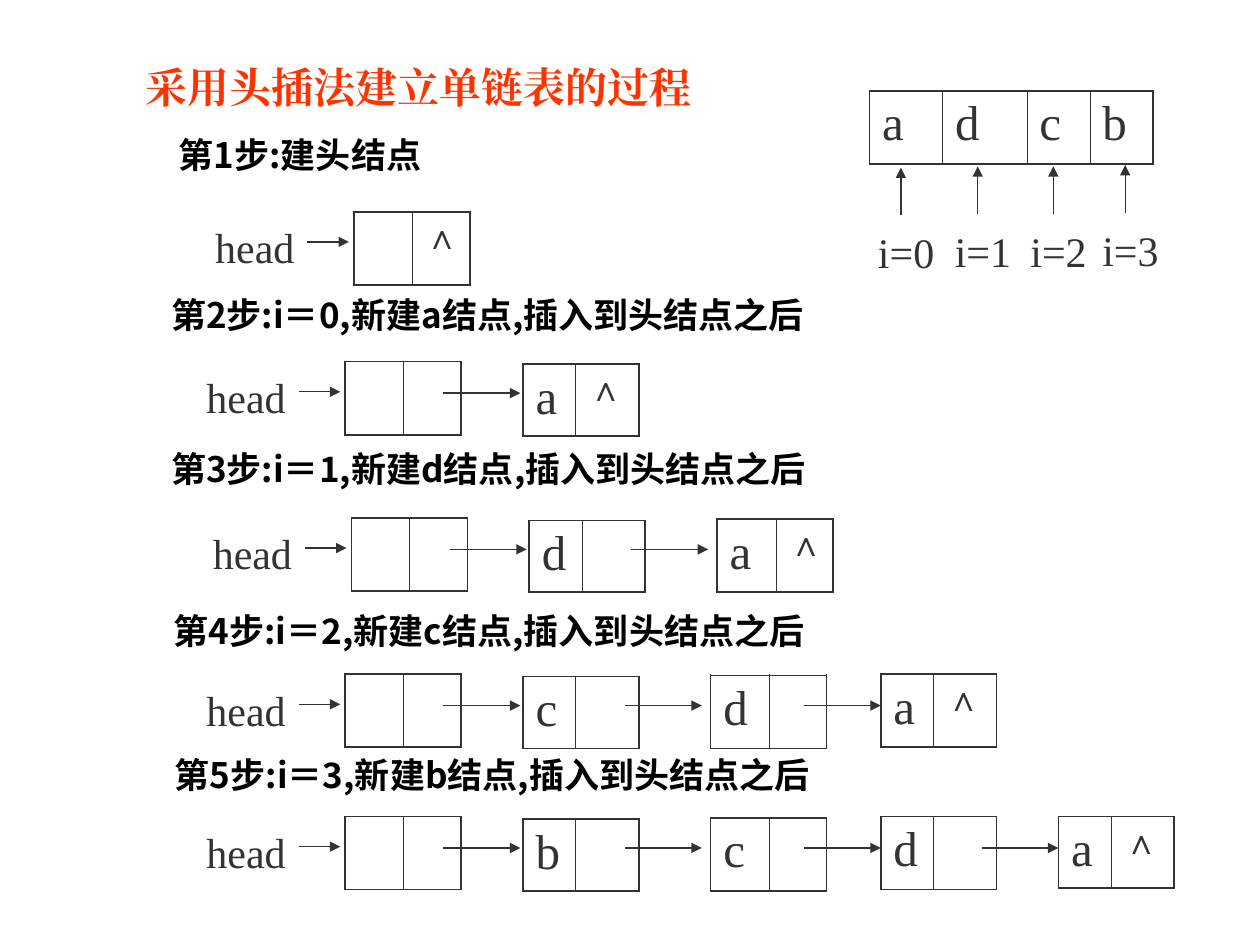
from lxml.etree import SubElement
from pptx import Presentation
from pptx.dml.color import RGBColor
from pptx.enum.shapes import MSO_CONNECTOR
from pptx.enum.text import MSO_AUTO_SIZE
from pptx.oxml.ns import qn
from pptx.util import Inches, Pt

COLORS = {"ink": "333333", "title": "FF3300", "step": "000000"}
SERIF, SANS = "Times New Roman", "Noto Sans CJK SC"
THICK, THIN = 1.08, 0.45

TITLE = "采用头插法建立单链表的过程"
INPUT = ["a", "d", "c", "b"]
WIDTHS = [0.58, 0.67, 0.5, 0.5]
MARKS = [(7.15, 1.33), (7.76, 1.32), (8.36, 1.32), (8.93, 1.31)]

STEPS = [
    ("第1步:建头结点", (1.32, 1.01, 3.25, 0.44), (2.81, 1.68), ""),
    ("第2步:i＝0,新建a结点,插入到头结点之后", (1.26, 2.28, 5.97, 0.77), (2.74, 2.87), "a"),
    ("第3步:i＝1,新建d结点,插入到头结点之后", (1.26, 3.5, 6.47, 0.44), (2.79, 4.11), "da"),
    ("第4步:i＝2,新建c结点,插入到头结点之后", (1.28, 4.79, 6.47, 0.44), (2.74, 5.35), "cda"),
    ("第5步:i＝3,新建b结点,插入到头结点之后", (1.29, 5.93, 6.47, 0.44), (2.74, 6.48), "bcda"),
]
NODE = 0.92
SLOTS = [
    {"dx": 0, "dy": 0, "high": 0.58, "data": 0.46},
    {"dx": 1.41, "dy": 0.02, "high": 0.57, "data": 0.42, "tip": 1.39},
    {"dx": 2.9, "dy": 0.01, "high": 0.58, "data": 0.47, "tip": 2.83},
    {"dx": 4.25, "dy": 0, "high": 0.58, "data": 0.42, "tip": 4.25},
    {"dx": 5.66, "dy": 0, "high": 0.57, "data": 0.42, "tip": 5.66},
]
LINK = 0.61

deck = Presentation()
deck.slide_width, deck.slide_height = Inches(10), Inches(7.5)
slide = deck.slides.add_slide(deck.slide_layouts[6])
shapes = slide.shapes


def write(frame, text, size, gap, color="ink", font=SERIF, bold=False):
    para = frame.paragraphs[0]
    para.space_before = Pt(gap)
    run = para.add_run()
    run.text = text
    run.font.size, run.font.bold, run.font.name = Pt(size), bold, font
    run.font.color.rgb = RGBColor.from_string(COLORS[color])
    SubElement(run.font._element, qn("a:ea"), typeface=font)


def label(text, box, size=24, **style):
    frame = shapes.add_textbox(*map(Inches, box)).text_frame
    frame.word_wrap = True
    frame.auto_size = MSO_AUTO_SIZE.SHAPE_TO_FIT_TEXT
    write(frame, text, size, size * 0.625, **style)


def arrow(x1, y1, x2, y2):
    line = shapes.add_connector(MSO_CONNECTOR.STRAIGHT, *map(Inches, (x1, y1, x2, y2)))
    line.line.width = Pt(0.75)
    line.line.color.rgb = RGBColor.from_string(COLORS["ink"])
    SubElement(line.line._get_or_add_ln(), qn("a:tailEnd"), type="triangle")
    SubElement(line._element.spPr, qn("a:effectLst"))


def border(cell, side, width):
    edge = SubElement(cell._tc.get_or_add_tcPr(), qn("a:" + side), w=str(Pt(width)))
    fill = SubElement(edge, qn("a:solidFill"))
    SubElement(fill, qn("a:srgbClr"), val=COLORS["ink"])


def boxes(x, y, high, widths, texts):
    spot = map(Inches, (x, y, sum(widths), high))
    table = shapes.add_table(1, len(widths), *spot).table
    table.first_row = table.horz_banding = False
    last = len(widths) - 1
    for i, (width, text) in enumerate(zip(widths, texts)):
        table.columns[i].width = Inches(width)
        cell = table.cell(0, i)
        border(cell, "lnL", THIN if i else THICK)
        border(cell, "lnR", THIN if i < last else THICK)
        border(cell, "lnT", THICK)
        border(cell, "lnB", THICK)
        cell.fill.background()
        if text == "∧":
            write(cell.text_frame, text, 20, 5, bold=True)
        elif text:
            write(cell.text_frame, text, 28, 7)


def chain(x, y, items):
    label("head", (x - 1.2, y + 0.03, 0.92, 0.5))
    arrow(x - 0.37, y + 0.24, x - 0.04, y + 0.24)
    for i, (slot, item) in enumerate(zip(SLOTS, [""] + list(items))):
        tail = "∧" if i == len(items) else ""
        widths = [slot["data"], NODE - slot["data"]]
        boxes(x + slot["dx"], y + slot["dy"], slot["high"], widths, [item, tail])
        if i:
            tip = x + slot["tip"]
            arrow(tip - LINK, y + 0.25, tip, y + 0.25)


label(TITLE, (1.06, 0.44, 4.83, 0.5), color="title", bold=True)
boxes(6.9, 0.72, 0.58, WIDTHS, INPUT)
for i, (x, tip) in enumerate(MARKS):
    arrow(x, tip + 0.38, x, tip)
    label(f"i={i}", (x - 0.28, tip + 0.42, 0.67, 0.5))
for text, box, start, items in STEPS:
    chain(*start, items)
    label(text, box, 20, color="step", font=SANS, bold=True)

deck.save("out.pptx")
